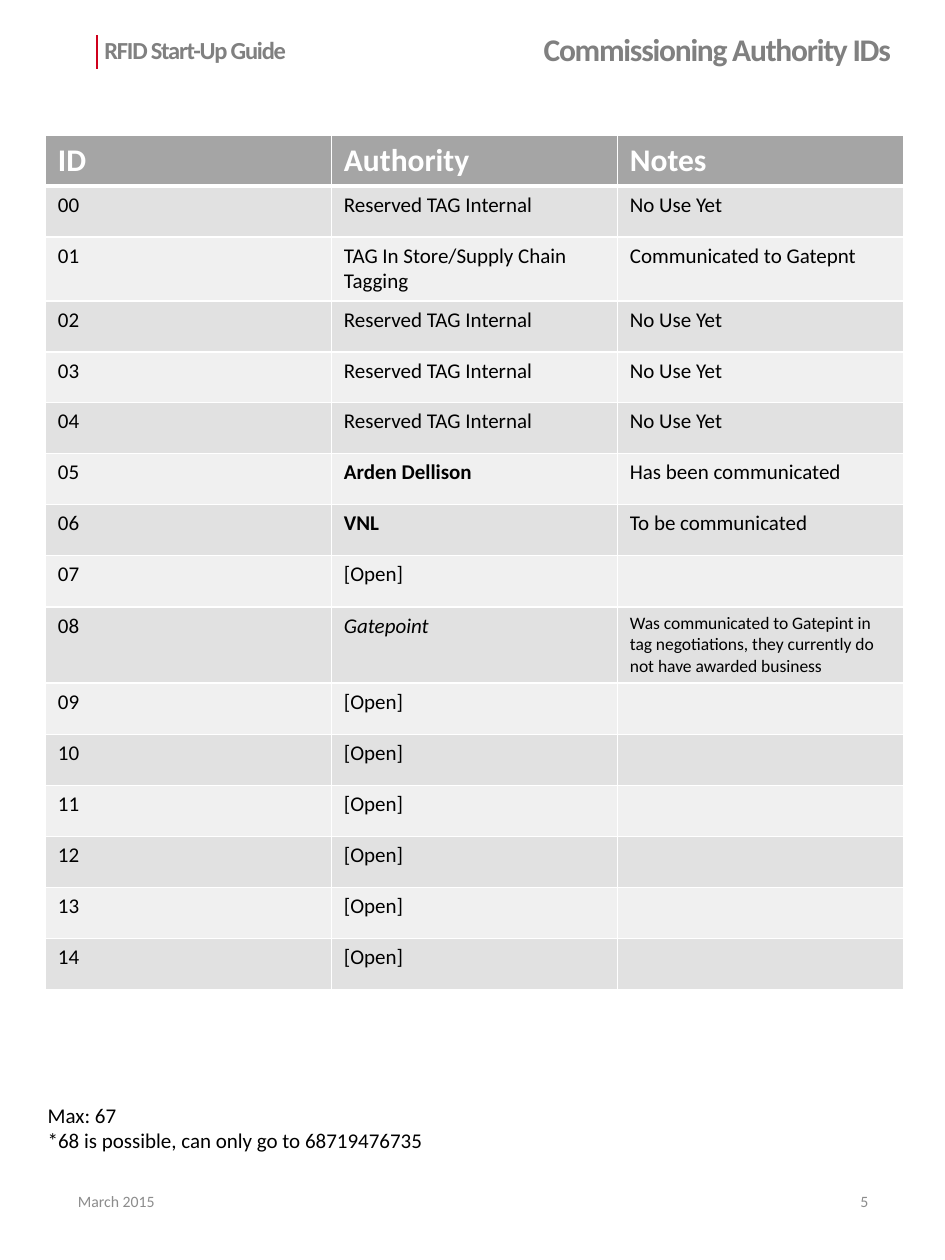
from lxml import etree
from pptx import Presentation
from pptx.dml.color import RGBColor
from pptx.enum.shapes import MSO_CONNECTOR
from pptx.enum.text import MSO_ANCHOR, MSO_AUTO_SIZE, PP_ALIGN
from pptx.oxml import parse_xml
from pptx.oxml.ns import nsdecls, qn
from pptx.util import Inches, Pt

BLACK = RGBColor(0x00, 0x00, 0x00)
WHITE = RGBColor(0xFF, 0xFF, 0xFF)
TITLE_GRAY = RGBColor(0x80, 0x80, 0x80)
FOOTER_GRAY = RGBColor(0x8C, 0x8C, 0x8C)
HEADER_FILL = RGBColor(0xA5, 0xA5, 0xA5)
BAND_FILLS = [RGBColor(0xF0, 0xF0, 0xF0), RGBColor(0xE1, 0xE1, 0xE1)]
RED = RGBColor(0xCF, 0x00, 0x1C)


def write_text(frame, text, size, color, bold=False, italic=False,
               align=PP_ALIGN.LEFT, anchor=MSO_ANCHOR.TOP, wrap=True, heading=False):
    """Write one paragraph per line of text in a single format."""
    frame.word_wrap = wrap
    frame.auto_size = MSO_AUTO_SIZE.NONE
    frame.vertical_anchor = anchor
    for index, line in enumerate(text.split("\n")):
        para = frame.add_paragraph() if index else frame.paragraphs[0]
        para.alignment = align
        span = para.add_run()
        span.text = line
        font = span.font
        font.name, font.size, font.bold, font.italic = "Calibri", Pt(size), bold, italic
        font.color.rgb = color
        if heading:
            para.line_spacing = 0.9
            para.space_before = Pt(7.5)
            span._r.get_or_add_rPr().set("spc", "-70")


def add_borders(cell, bottom):
    """Give a cell white borders, with its own bottom width in points."""
    properties = cell._tc.get_or_add_tcPr()
    for side, width in [("L", 1), ("R", 1), ("T", 1), ("B", bottom)]:
        properties.append(parse_xml(
            f'<a:ln{side} {nsdecls("a")} w="{Pt(width)}"><a:solidFill>'
            f'<a:srgbClr val="{WHITE}"/></a:solidFill></a:ln{side}>'))


deck = Presentation()
deck.slide_width = Inches(7.5)
deck.slide_height = Inches(10)
page = deck.slides.add_slide(deck.slide_layouts[5])

# Page title
title = page.shapes.title
title.left, title.top = Inches(2.41), Inches(0.19)
title.width, title.height = Inches(4.76), Inches(0.44)
write_text(title.text_frame, "Commissioning Authority IDs", 18, TITLE_GRAY, bold=True,
           align=PP_ALIGN.RIGHT, anchor=MSO_ANCHOR.MIDDLE, heading=True)

# Guide name, footer and remark
middle = {"anchor": MSO_ANCHOR.MIDDLE}
text_boxes = [
    (0.73, 0.19, 4.63, 0.44, "RFID Start-Up Guide", 14, TITLE_GRAY,
     {"bold": True, "heading": True, **middle}),
    (5.3, 9.27, 1.69, 0.53, "5", 9, FOOTER_GRAY, {"align": PP_ALIGN.RIGHT, **middle}),
    (0.52, 9.27, 1.69, 0.53, "March 2015", 9, FOOTER_GRAY, middle),
    (0.28, 8.7, 3.22, 0.5, "Max: 67\n*68 is possible, can only go to 68719476735",
     12, BLACK, {"wrap": False}),
]
for left, top, width, height, text, size, color, options in text_boxes:
    box = page.shapes.add_textbox(Inches(left), Inches(top), Inches(width), Inches(height))
    write_text(box.text_frame, text, size, color, **options)

# Red bar beside the guide name
bar = page.shapes.add_connector(MSO_CONNECTOR.STRAIGHT, Inches(0.77), Inches(0.28),
                                Inches(0.77), Inches(0.55))
bar.line.color.rgb = RED
bar.line.width = Pt(1.5)
etree.SubElement(bar._element.spPr, qn("a:effectLst"))

# Authority and notes for each ID, counted from 00
reserved = ("Reserved TAG Internal", "No Use Yet")
vacant = ("[Open]", "")
authorities = [
    reserved,
    ("TAG In Store/Supply Chain Tagging", "Communicated to Gatepnt"),
    reserved, reserved, reserved,
    ("Arden Dellison", "Has been communicated"),
    ("VNL", "To be communicated"),
    vacant,
    ("Gatepoint", "Was communicated to Gatepint in tag negotiations, "
                  "they currently do not have awarded business"),
] + [vacant] * 6
rows = [("ID", "Authority", "Notes")]
rows += [(f"{number:02d}", *entry) for number, entry in enumerate(authorities)]
BOLD = {"ID", "Authority", "Notes", "Arden Dellison", "VNL"}

# Table
table = page.shapes.add_table(len(rows), 3, Inches(0.36), Inches(1.07),
                              Inches(6.81), Inches(0.405 * len(rows))).table
for column in table.columns:
    column.width = Inches(2.27)
for row_index, texts in enumerate(rows):
    header = row_index == 0
    table.rows[row_index].height = Inches(0.405)
    for column_index, text in enumerate(texts):
        cell = table.cell(row_index, column_index)
        add_borders(cell, 3 if header else 1)
        cell.fill.solid()
        cell.fill.fore_color.rgb = HEADER_FILL if header else BAND_FILLS[row_index % 2]
        if text:
            size = 18 if header else 10 if len(text) > 40 else 12
            write_text(cell.text_frame, text, size, WHITE if header else BLACK,
                       bold=text in BOLD, italic=text == "Gatepoint")

deck.save("out.pptx")
